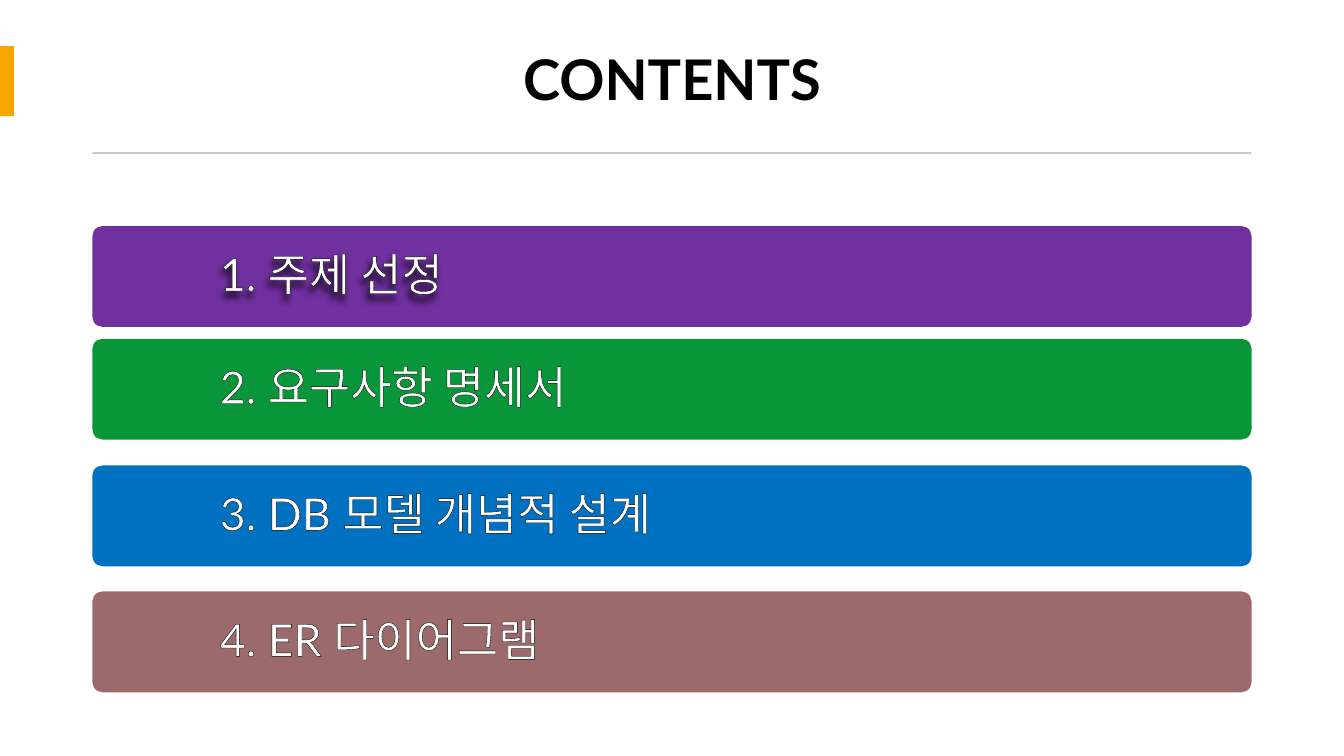
from lxml import etree
from pptx import Presentation
from pptx.dml.color import RGBColor
from pptx.enum.shapes import MSO_SHAPE
from pptx.enum.text import MSO_ANCHOR, PP_ALIGN
from pptx.oxml import parse_xml
from pptx.util import Pt

RECTANGLE = MSO_SHAPE.RECTANGLE
ROUNDED = MSO_SHAPE.ROUNDED_RECTANGLE
MIDDLE = MSO_ANCHOR.MIDDLE
LEFT = PP_ALIGN.LEFT
CENTER = PP_ALIGN.CENTER

BLACK = RGBColor(0x00, 0x00, 0x00)
WHITE = RGBColor(0xFF, 0xFF, 0xFF)
ORANGE = RGBColor(0xF5, 0xA7, 0x00)
GRAY = RGBColor(0xC9, 0xC9, 0xC9)
PURPLE = RGBColor(0x70, 0x30, 0xA0)
GREEN = RGBColor(0x09, 0x96, 0x3B)
BLUE = RGBColor(0x00, 0x70, 0xC0)
ROSE = RGBColor(0x9C, 0x6A, 0x6A)

NAMESPACE = "http://schemas.openxmlformats.org/drawingml/2006/main"
OUTLINE = (
    f'<a:ln xmlns:a="{NAMESPACE}" w="12700"><a:solidFill>'
    '<a:srgbClr val="000000"/></a:solidFill></a:ln>'
)
SHADOW = (
    '<a:outerShdw blurRad="50800" dist="50800" dir="7200000" algn="tl" rotWithShape="0">'
    '<a:srgbClr val="000000"><a:alpha val="60000"/></a:srgbClr></a:outerShdw>'
)

presentation = Presentation()
presentation.slide_width = Pt(960)
presentation.slide_height = Pt(540)
slide = presentation.slides.add_slide(presentation.slide_layouts[6])


def add_block(kind, left, top, width, height, color):
    shape = slide.shapes.add_shape(kind, Pt(left), Pt(top), Pt(width), Pt(height))
    shape.shadow.inherit = False
    shape.fill.solid()
    shape.fill.fore_color.rgb = color
    shape.line.fill.background()
    return shape


def add_text(text, *, left, top, width, height, size, color,
             bold=False, align=LEFT, inset=8, outlined=False, shadowed=False):
    box = slide.shapes.add_textbox(Pt(left), Pt(top), Pt(width), Pt(height))
    frame = box.text_frame
    frame.word_wrap = True
    frame.vertical_anchor = MIDDLE
    frame.margin_left = frame.margin_right = Pt(inset)
    frame.margin_top = frame.margin_bottom = Pt(inset)
    paragraph = frame.paragraphs[0]
    paragraph.alignment = align
    paragraph.line_spacing = 0.9
    run = paragraph.add_run()
    run.text = text
    run.font.name = "Lato"
    run.font.size = Pt(size)
    run.font.bold = bold
    run.font.color.rgb = color
    if outlined:
        run.font._element.insert(0, parse_xml(OUTLINE))
    if shadowed:
        effects = etree.fromstring(f'<a:effectLst xmlns:a="{NAMESPACE}">{SHADOW}</a:effectLst>')
        box._element.spPr.append(effects)


add_text("CONTENTS", left=66, top=19.5, width=828, height=79,
         size=40, color=BLACK, bold=True, align=CENTER)
add_block(RECTANGLE, 0, 33, 10, 50, ORANGE)
add_block(RECTANGLE, 66, 108.75, 828, 1.25, GRAY)

chapters = [
    ("1. 주제 선정", 161.5, PURPLE, True),
    ("2. 요구사항 명세서", 242, GREEN, False),
    ("3. DB 모델 개념적 설계", 332.5, BLUE, False),
    ("4. ER 다이어그램", 422.5, ROSE, False),
]
for title, top, color, shadowed in chapters:
    bar = add_block(ROUNDED, 66, top, 828, 72, color)
    bar.adjustments[0] = 0.1
    add_text(title, left=149, top=top, width=745, height=72,
             size=32, color=WHITE, outlined=True, shadowed=shadowed)

presentation.save("out.pptx")
